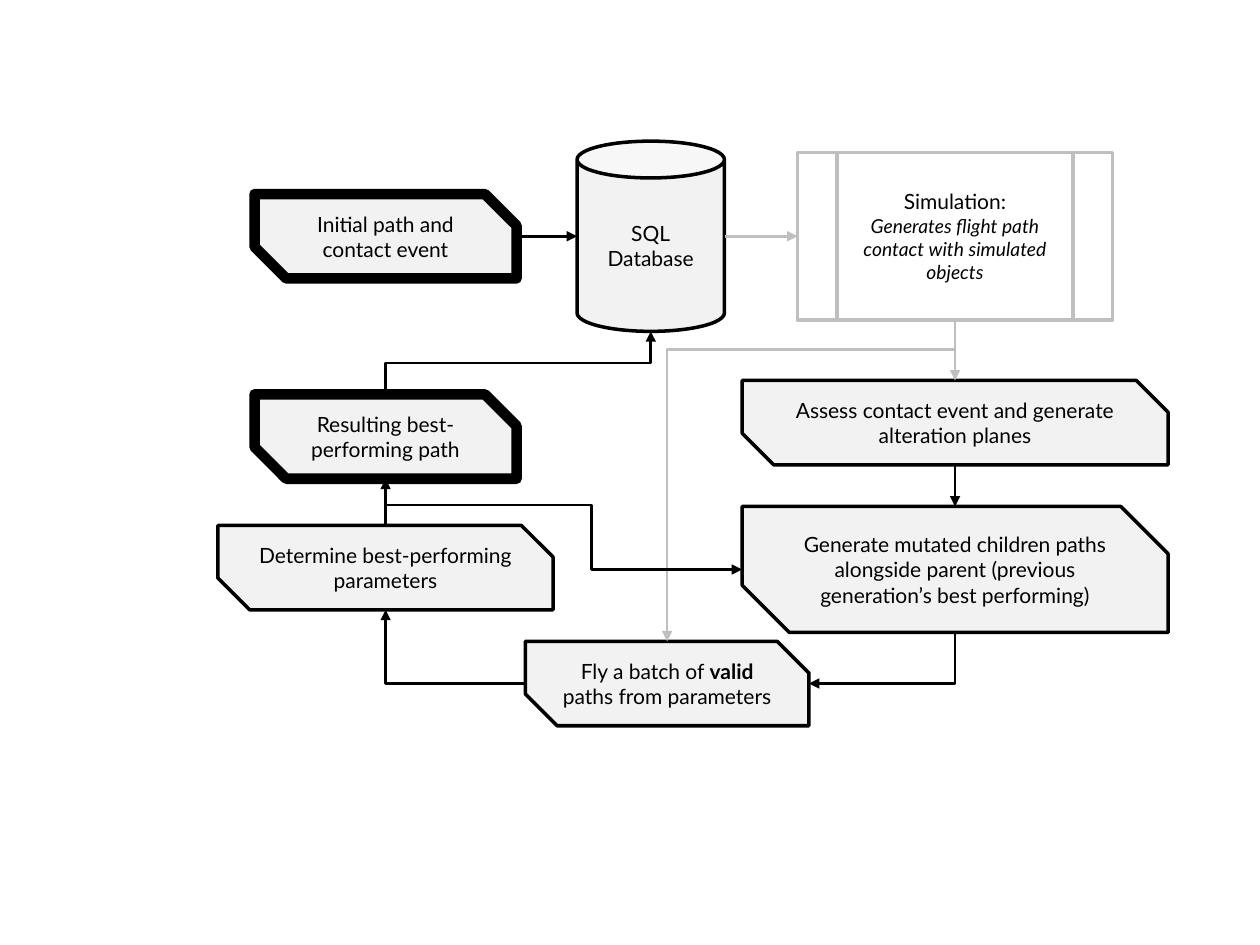
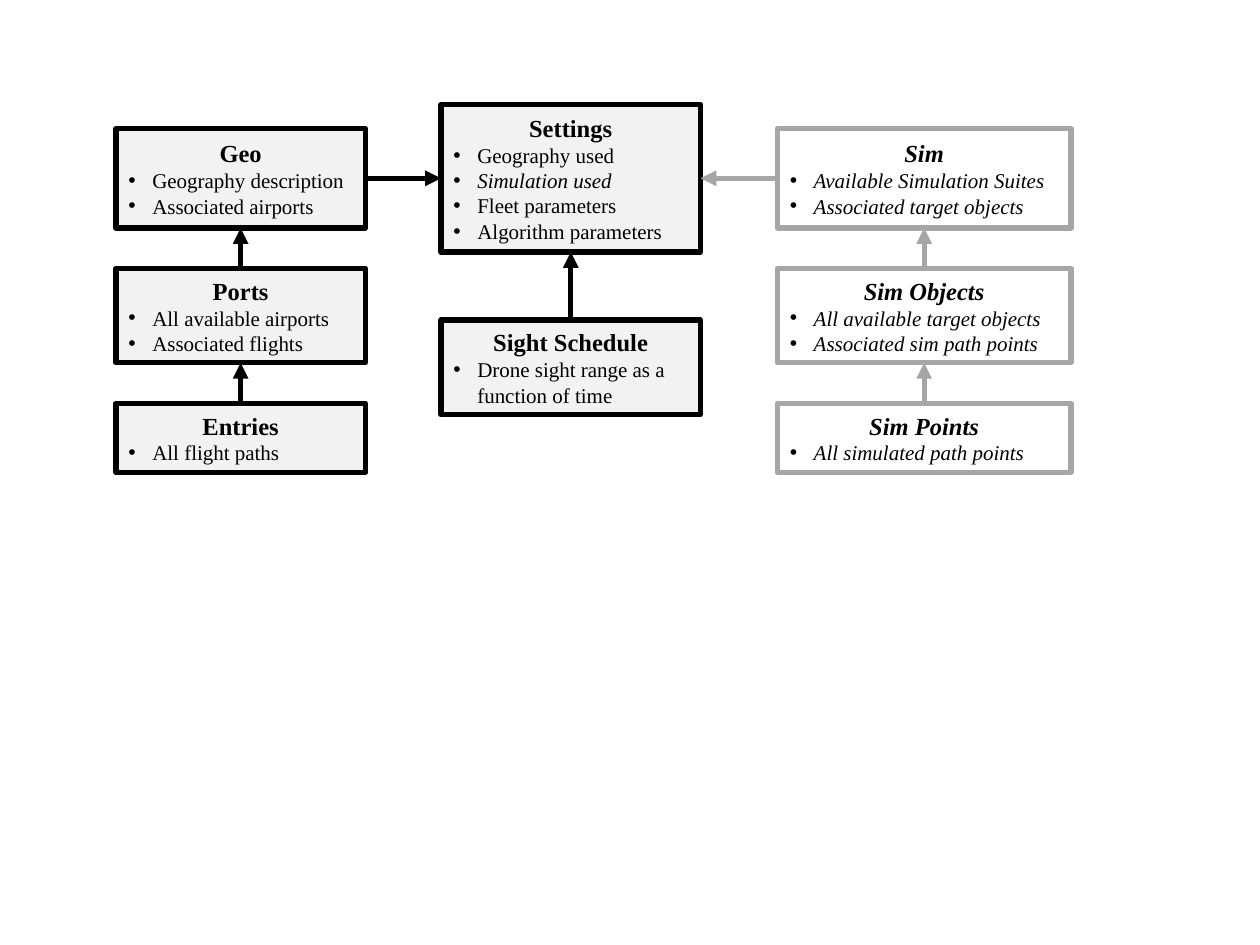
from lxml import etree
from pptx import Presentation
from pptx.dml.color import RGBColor
from pptx.enum.shapes import MSO_CONNECTOR, MSO_SHAPE
from pptx.enum.text import MSO_ANCHOR, PP_ALIGN
from pptx.oxml.ns import qn
from pptx.util import Inches, Pt

SNIP = MSO_SHAPE.SNIP_2_DIAG_RECTANGLE
CAN = MSO_SHAPE.CAN
PROCESS = MSO_SHAPE.FLOWCHART_PREDEFINED_PROCESS
RECT = MSO_SHAPE.RECTANGLE
STRAIGHT, ELBOW = MSO_CONNECTOR.STRAIGHT, MSO_CONNECTOR.ELBOW
CENTER, LEFT = PP_ALIGN.CENTER, PP_ALIGN.LEFT
MIDDLE = MSO_ANCHOR.MIDDLE

BLACK, WHITE, PALE = "000000", "FFFFFF", "F2F2F2"
SILVER, GRAY = "BFBFBF", "A6A6A6"
FLOW_FONT, TABLE_FONT = "Lato", "Times New Roman"

# Order of the connection sites of each shape kind, and of a plain rectangle
RECT_SITES = "tlbr"
SITES = {SNIP: "rblt", CAN: "-tlbr", PROCESS: RECT_SITES, RECT: RECT_SITES}

# name: (kind, box, fill, line colour, line width, paragraphs of (text, format) runs)
FLOW_SHAPES = {
    "simulation": (PROCESS, (6.33, 1.21, 2.5, 1.33), WHITE, SILVER, 2, [
        [("Simulation:", {})],
        [("Generates flight path contact with simulated objects",
          {"size": 11, "italic": True})]]),
    "result": (SNIP, (2.02, 3.13, 2.08, 0.67), PALE, BLACK, 6, [
        [("Resulting best-performing path", {})]]),
    "initial": (SNIP, (2.02, 1.54, 2.08, 0.67), PALE, BLACK, 6, [
        [("Initial path and contact event", {})]]),
    "determine": (SNIP, (1.73, 4.17, 2.66, 0.67), PALE, BLACK, 2, [
        [("Determine best-performing parameters", {})]]),
    "mutate": (SNIP, (5.89, 4.02, 3.38, 1), PALE, BLACK, 2, [
        [("Generate mutated children paths alongside parent "
          "(previous generation’s best performing)", {})]]),
    "database": (CAN, (4.58, 1.12, 1.17, 1.51), PALE, BLACK, 2, [
        [("SQL", {})], [("Database", {})]]),
    "fly": (SNIP, (4.17, 5.09, 2.25, 0.67), PALE, BLACK, 2, [
        [("Fly a batch of ", {}), ("valid", {"bold": True}),
         (" paths from parameters", {})]]),
    "assess": (SNIP, (5.89, 3.02, 3.38, 0.67), PALE, BLACK, 2, [
        [("Assess contact event and generate alteration planes", {})]]),
}

# (shape, side) at the arrowhead, (shape, side) at the plain end, colour
FLOW_ARROWS = [
    (("database", "l"), ("initial", "r"), BLACK),
    (("simulation", "l"), ("database", "r"), SILVER),
    (("mutate", "t"), ("assess", "b"), BLACK),
    (("assess", "t"), ("simulation", "b"), SILVER),
    (("result", "b"), ("determine", "t"), BLACK),
]

# As above, then preset, rotation, flips and adjustments
FLOW_ELBOWS = [
    (("database", "b"), ("result", "t"), BLACK, "bentConnector3", 90, "", [0.5]),
    (("fly", "r"), ("mutate", "b"), BLACK, "bentConnector2", 0, "V", []),
    (("determine", "b"), ("fly", "l"), BLACK, "bentConnector2", 270, "H", []),
    (("fly", "t"), ("simulation", "b"), SILVER, "bentConnector3", 90, "HV", [0.908]),
    (("mutate", "l"), ("determine", "t"), BLACK, "bentConnector4", 180, "",
     [0.423, 1.464]),
]

# left, width, fill, line colour, italic, [(top, height, title, bullets)]
TABLE_COLUMNS = [
    (0.92, 1.98, PALE, BLACK, False, [
        (1.02, 0.79, "Geo", ["Geography description", "Associated airports"]),
        (2.13, 0.75, "Ports", ["All available airports", "Associated flights"]),
        (3.2, 0.55, "Entries", ["All flight paths"])]),
    (3.5, 2.06, PALE, BLACK, False, [
        (0.83, 1.17, "Settings", ["Geography used", "Simulation used",
                                  "Fleet parameters", "Algorithm parameters"]),
        (2.54, 0.75, "Sight Schedule", ["Drone sight range as a function of time"])]),
    (6.17, 2.33, WHITE, GRAY, True, [
        (1.02, 0.79, "Sim", ["Available Simulation Suites",
                             "Associated target objects"]),
        (2.13, 0.75, "Sim Objects", ["All available target objects",
                                     "Associated sim path points"]),
        (3.2, 0.55, "Sim Points", ["All simulated path points"])]),
]
ITALIC_BULLETS = {"Simulation used"}


def rgb(color):
    return RGBColor.from_string(color)


def add_box(slide, kind, box, fill, line, width):
    sp = slide.shapes.add_shape(kind, *map(Inches, box))
    sp.shadow.inherit = False
    sp.fill.solid()
    sp.fill.fore_color.rgb = rgb(fill)
    sp.line.color.rgb = rgb(line)
    sp.line.width = Pt(width)
    sp.text_frame.word_wrap = True
    sp.text_frame.vertical_anchor = MIDDLE
    if kind == SNIP:
        sp.adjustments[0], sp.adjustments[1] = 0, 0.375
    return sp


def add_text(tf, runs, font, size=12, bold=False, italic=False, bullet=False):
    """Add a paragraph of (text, format) runs; a run's format overrides the defaults."""
    p = tf.add_paragraph() if tf.text else tf.paragraphs[0]
    p.alignment = LEFT if bullet else CENTER
    if bullet:
        pPr = p._p.get_or_add_pPr()
        pPr.set("marL", str(Inches(0.19)))
        pPr.set("indent", str(-Inches(0.19)))
        etree.SubElement(pPr, qn("a:buFont"), typeface="Arial")
        etree.SubElement(pPr, qn("a:buChar"), char="•")
    for text, fmt in runs:
        r = p.add_run()
        r.text = text
        r.font.name = font
        r.font.size = Pt(fmt.get("size", size))
        r.font.bold = fmt.get("bold", bold)
        r.font.italic = fmt.get("italic", italic)
        r.font.color.rgb = rgb(BLACK)


def add_arrow(slide, head, tail, color, width, kind=STRAIGHT):
    """Join two (shape, side) ends, with the arrowhead at the first."""
    con = slide.shapes.add_connector(kind, 0, 0, 0, 0)
    for (sp, side), join, tag in ((head, con.begin_connect, "a:stCxn"),
                                  (tail, con.end_connect, "a:endCxn")):
        join(sp, RECT_SITES.index(side))
        site = SITES[sp.auto_shape_type].index(side)
        con._element.find(".//" + qn(tag)).set("idx", str(site))
    con.line.color.rgb = rgb(color)
    con.line.width = Pt(width)
    etree.SubElement(con.line._get_or_add_ln(), qn("a:headEnd"), type="triangle")
    etree.SubElement(con._element.spPr, qn("a:effectLst"))
    return con


def bend(con, preset, rotation, flips, adjustments):
    """Give an elbow its route; a quarter turn swaps its box about the centre."""
    if rotation % 180:
        left, top, w, h = con.left, con.top, con.width, con.height
        con.left, con.top = left + (w - h) // 2, top + (h - w) // 2
        con.width, con.height = h, w
    xfrm = con._element.spPr.find(qn("a:xfrm"))
    xfrm.set("rot", str(rotation * 60000))
    for axis in "HV":
        xfrm.set("flip" + axis, str(int(axis in flips)))
    geom = con._element.spPr.find(qn("a:prstGeom"))
    geom.set("prst", preset)
    for i, value in enumerate(adjustments, 1):
        etree.SubElement(geom.find(qn("a:avLst")), qn("a:gd"), name=f"adj{i}",
                         fmla=f"val {round(value * 100000)}")


def build_flow(slide):
    shapes = {}
    for name, (*style, paragraphs) in FLOW_SHAPES.items():
        sp = shapes[name] = add_box(slide, *style)
        for runs in paragraphs:
            add_text(sp.text_frame, runs, FLOW_FONT)

    def arrow(head, tail, color, kind=STRAIGHT):
        ends = [(shapes[name], side) for name, side in (head, tail)]
        return add_arrow(slide, *ends, color, 1.5, kind)

    for ends in FLOW_ARROWS:
        arrow(*ends)
    for head, tail, color, *route in FLOW_ELBOWS:
        bend(arrow(head, tail, color, ELBOW), *route)


def build_tables(slide):
    tops = []
    for left, width, fill, line, italic, boxes in TABLE_COLUMNS:
        column = []
        for top, height, title, bullets in boxes:
            sp = add_box(slide, RECT, (left, top, width, height), fill, line, 3)
            add_text(sp.text_frame, [(title, {})], TABLE_FONT, size=14, bold=True,
                     italic=italic)
            for bullet in bullets:
                add_text(sp.text_frame, [(bullet, {})], TABLE_FONT, bullet=True,
                         italic=italic or bullet in ITALIC_BULLETS)
            column.append(sp)
        for upper, lower in zip(column, column[1:]):
            add_arrow(slide, (upper, "b"), (lower, "t"), line, 3)
        tops.append(column[0])
    geo, settings, sim = tops
    add_arrow(slide, (settings, "l"), (geo, "r"), BLACK, 3)
    add_arrow(slide, (settings, "r"), (sim, "l"), GRAY, 3)


def main():
    prs = Presentation()
    prs.slide_width, prs.slide_height = Inches(10), Inches(7.5)
    for build in (build_flow, build_tables):
        build(prs.slides.add_slide(prs.slide_layouts[6]))
    prs.save("out.pptx")


if __name__ == "__main__":
    main()
